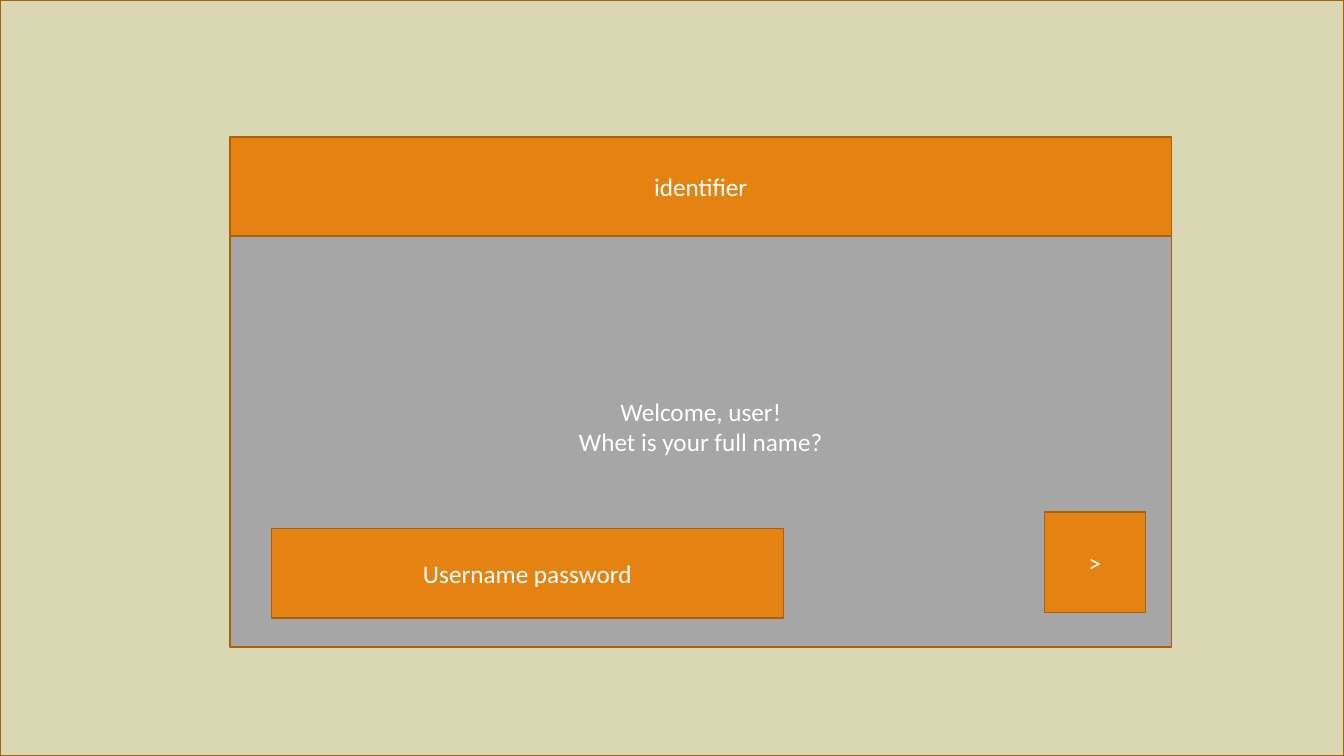
"""Build a slide showing a sign-in dialog."""
from pptx import Presentation
from pptx.dml.color import RGBColor
from pptx.enum.shapes import MSO_SHAPE as SHAPE
from pptx.enum.text import MSO_ANCHOR as ANCHOR, PP_ALIGN as ALIGN
from pptx.util import Inches, Pt

BORDER, SAND, GREY, ORANGE, WHITE = "A9610D", "DAD7B3", "A6A6A6", "E48312", "FFFFFF"


def color(hex_value):
    """Turn a hex string into a colour."""
    return RGBColor.from_string(hex_value)


class DialogSlide:
    """Hold the dialog style and the current slide."""

    font = {"name": "Calibri", "size": Pt(18)}
    frame = {"word_wrap": True, "vertical_anchor": ANCHOR.MIDDLE}

    def __init__(self, prs):
        """Add an empty slide."""
        self.slide = prs.slides.add_slide(prs.slide_layouts[6])

    def panel(self, left, top, width, height, fill, lines=(), bottom=0.05):
        """Add a bordered rectangle with centred lines of text."""
        box = [Inches(v) for v in (left, top, width, height)]
        sp = self.slide.shapes.add_shape(SHAPE.RECTANGLE, *box)
        sp.shadow.inherit = False
        sp.fill.solid()
        sp.fill.fore_color.rgb = color(fill)
        sp.line.color.rgb = color(BORDER)
        sp.line.width = Pt(1)
        tf = sp.text_frame
        for key, value in {**self.frame, "margin_bottom": Inches(bottom)}.items():
            setattr(tf, key, value)
        for i, text in enumerate(lines):
            p = tf.add_paragraph() if i else tf.paragraphs[0]
            p.alignment = ALIGN.CENTER
            r = p.add_run()
            r.text = text
            for key, value in self.font.items():
                setattr(r.font, key, value)
            r.font.color.rgb = color(WHITE)


def main():
    """Draw the dialog and save the presentation."""
    prs = Presentation()
    prs.slide_width, prs.slide_height = Inches(13.33), Inches(7.5)
    s = DialogSlide(prs)
    left, top, width, header = 2.28, 1.36, 9.34, 0.98
    s.panel(0, 0, 13.33, 7.5, SAND)
    s.panel(left, top + header, width, 4.08, GREY,
            ["Welcome, user!", "Whet is your full name?"], bottom=0.35)
    s.panel(left, top, width, header, ORANGE, ["identifier"])
    s.panel(2.69, 5.24, 5.08, 0.89, ORANGE, ["Username password"])
    s.panel(10.36, 5.08, 1, 1, ORANGE, [">"])
    prs.save("out.pptx")


if __name__ == "__main__":
    main()
